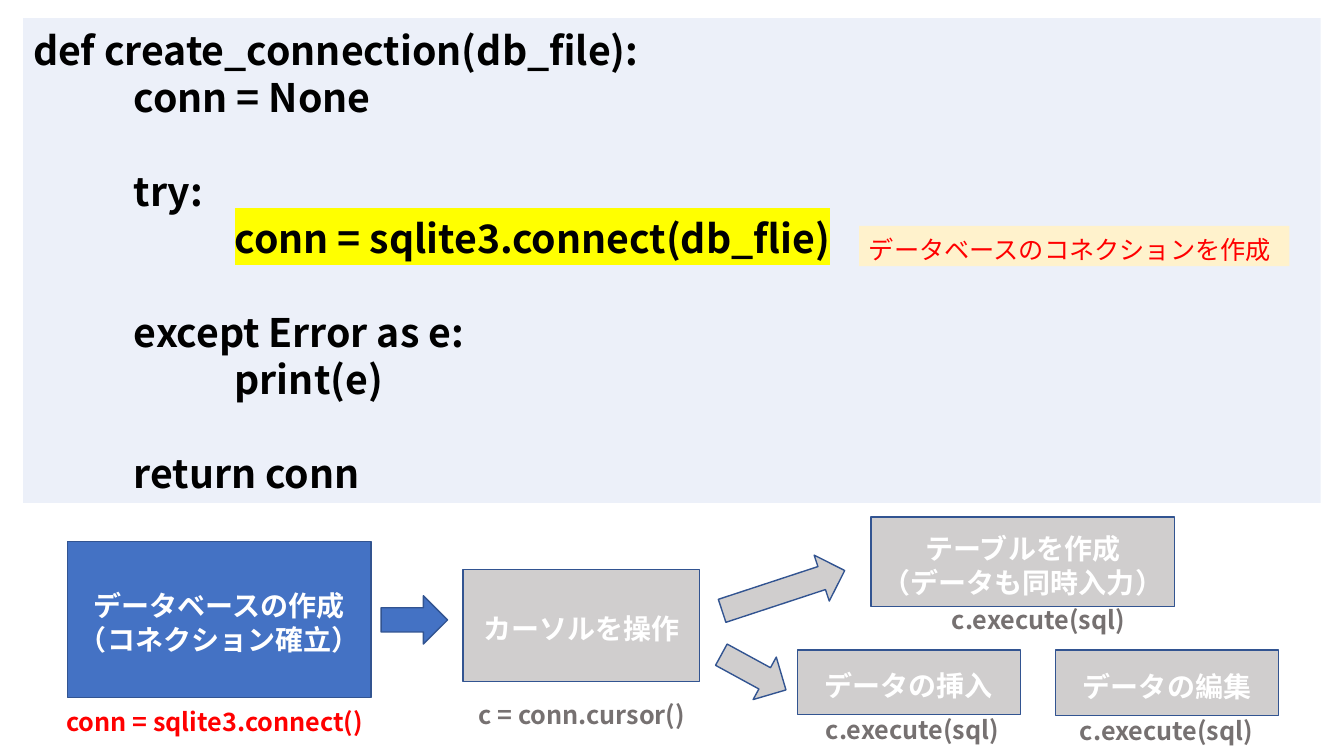
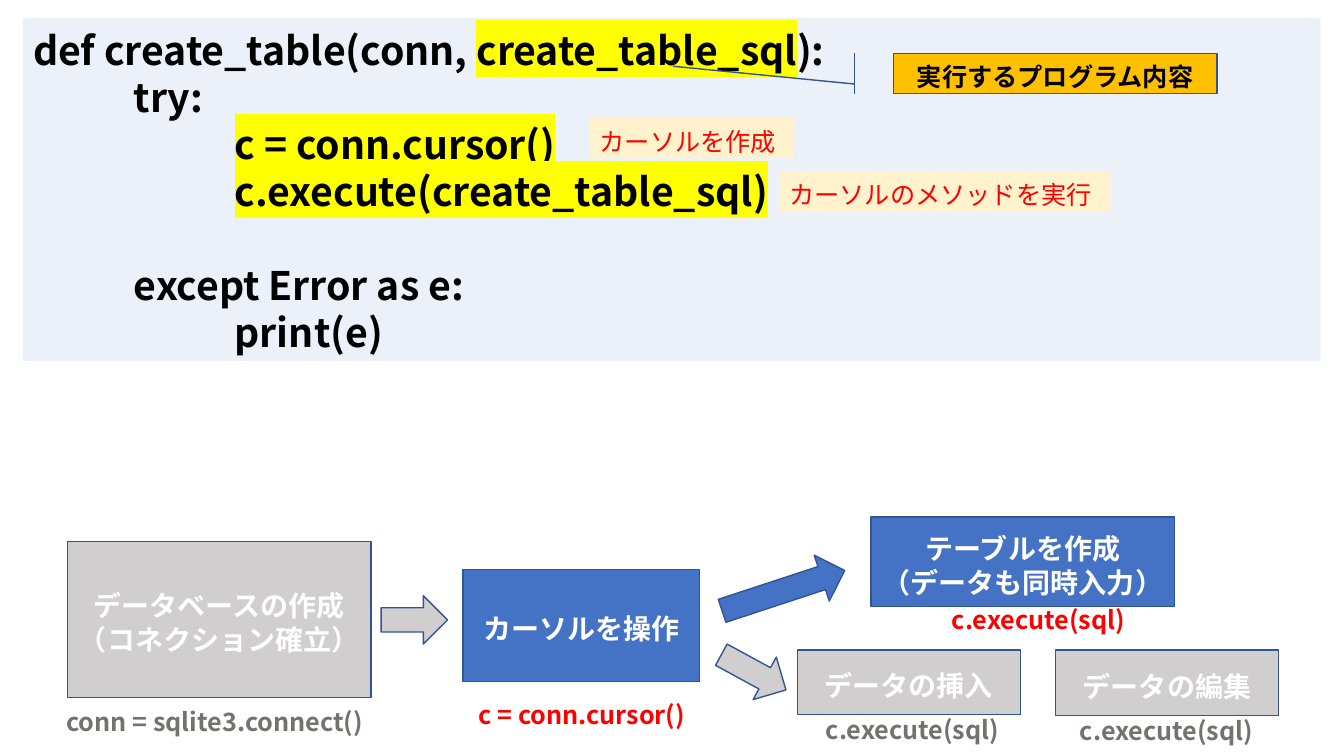
"""Two slides that explain sqlite3 code above a shared process flow."""
from lxml import etree
from pptx import Presentation
from pptx.dml.color import RGBColor
from pptx.enum import shapes, text
from pptx.oxml import ns
from pptx.util import Inches, Pt

FONT = "Noto Sans CJK JP"
LINE_RATIO = 1.2
BLUE, GRAY, OUTLINE = "4472C4", "D0CECE", "325491"
PANEL, NOTE, ORANGE, YELLOW = "8FAADC", "FFF2CC", "FFC000", "FFFF00"
RED, DIM, BLACK, WHITE = "FF0000", "767171", "000000", "FFFFFF"

# key, label lines, box, code below, code box
STEPS = [
    ("connect", ["データベースの作成", "（コネクション確立）"], (0.67, 5.37, 3.01, 1.55),
     "conn = sqlite3.connect()", (0.48, 6.93, 3.3, 0.4)),
    ("cursor", ["カーソルを操作"], (4.59, 5.65, 2.35, 1.11),
     "c = conn.cursor()", (4.59, 6.86, 2.36, 0.4)),
    ("table", ["テーブルを作成", "（データも同時入力）"], (8.64, 5.13, 3.01, 0.89),
     "c.execute(sql)", (9.12, 5.92, 2.36, 0.4)),
    ("insert", ["データの挿入"], (7.91, 6.45, 2.21, 0.64),
     "c.execute(sql)", (7.87, 7.01, 2.36, 0.4)),
    ("edit", ["データの編集"], (10.47, 6.45, 2.21, 0.65),
     "c.execute(sql)", (10.39, 7.02, 2.36, 0.4)),
]

# key of the step the arrow is lit with, box, rotation
ARROWS = [
    ("connect", (3.78, 5.91, 0.66, 0.48), 0),
    ("table", (7.13, 5.62, 1.28, 0.48), 341.8),
    ("insert", (7.11, 6.43, 0.73, 0.48), 28.6),
]

# Four spaces indent one level; bars enclose highlighted code.
CONNECTION_CODE = """\
def create_connection(db_file):
    conn = None

    try:
        |conn = sqlite3.connect(db_flie)|

    except Error as e:
        print(e)

    return conn"""

TABLE_CODE = """\
def create_table(conn, |create_table_sql|):
    try:
        |c = conn.cursor()|
        |c.execute(create_table_sql)|

    except Error as e:
        print(e)"""


def color(value):
    """Turn a hex string into a colour."""
    return RGBColor.from_string(value)


def add_color_child(parent, tag, value):
    """Append an element that holds one RGB colour."""
    child = etree.SubElement(parent, ns.qn(tag))
    etree.SubElement(child, ns.qn("a:srgbClr"), val=value)


def style_paragraph(paragraph, size, font_color, bold, align):
    """Set the font, line height and alignment of a paragraph."""
    paragraph.alignment = align
    paragraph.line_spacing = Pt(size * LINE_RATIO)
    font = paragraph.font
    font.name, font.size, font.bold = FONT, Pt(size), bold
    font.color.rgb = color(font_color)
    etree.SubElement(font._rPr, ns.qn("a:ea"), typeface=FONT)


def prepare_frame(shape, anchor):
    """Set wrapping, insets and anchor, and return the text frame."""
    frame = shape.text_frame
    frame.word_wrap = True
    frame.vertical_anchor = anchor
    frame.margin_left = frame.margin_right = Inches(0.1)
    frame.margin_top, frame.margin_bottom = Inches(0.08), Inches(0.02)
    return frame


def write_lines(shape, lines, size, font_color, bold=True,
                align=text.PP_ALIGN.CENTER, anchor=text.MSO_ANCHOR.MIDDLE):
    """Write one uniformly styled paragraph per line."""
    frame = prepare_frame(shape, anchor)
    for index, line in enumerate(lines):
        paragraph = frame.add_paragraph() if index else frame.paragraphs[0]
        paragraph.add_run().text = line
        style_paragraph(paragraph, size, font_color, bold, align)


def add_shape(slide, kind, box, fill, outlined=True):
    """Add a flat preset shape."""
    shape = slide.shapes.add_shape(kind, *map(Inches, box))
    shape.shadow.inherit = False
    shape.fill.solid()
    shape.fill.fore_color.rgb = color(fill)
    if outlined:
        shape.line.color.rgb = color(OUTLINE)
        shape.line.width = Pt(1)
    else:
        shape.line.fill.background()
    return shape


def add_code(slide, code, height):
    """Add the translucent panel with indented, partly highlighted code."""
    panel = add_shape(slide, shapes.MSO_SHAPE.RECTANGLE,
                      (0.23, 0.18, 12.87, height), PANEL, outlined=False)
    panel_color = panel._element.spPr.find(
        f"{ns.qn('a:solidFill')}/{ns.qn('a:srgbClr')}")
    etree.SubElement(panel_color, ns.qn("a:alpha"), val="17000")

    frame = prepare_frame(panel, text.MSO_ANCHOR.TOP)
    paragraph = frame.paragraphs[0]
    size, gap = 28, 0
    for index, line in enumerate(code.splitlines()):
        if not line:
            gap = size * LINE_RATIO
            continue
        if index:
            paragraph = frame.add_paragraph()
        content = line.lstrip()
        level = (len(line) - len(content)) // 4
        for position, part in enumerate(content.split("|")):
            if part:
                run = paragraph.add_run()
                run.text = part
                if position % 2:
                    add_color_child(run.font._rPr, "a:highlight", YELLOW)
        style_paragraph(paragraph, size, BLACK, True, text.PP_ALIGN.LEFT)
        paragraph.space_before = Pt(gap)
        properties = paragraph._p.get_or_add_pPr()
        properties.set("marL", str(Inches(level)))
        properties.set("indent", "0")
        gap = 0


def add_note(slide, left, top, width, label):
    """Add a red remark on a pale strip."""
    note = add_shape(slide, shapes.MSO_SHAPE.RECTANGLE,
                     (left, top, width, 0.4), NOTE, outlined=False)
    write_lines(note, [label], 18, RED, bold=False,
                align=text.PP_ALIGN.LEFT, anchor=text.MSO_ANCHOR.TOP)


def add_callout(slide, label):
    """Add the orange callout that points at the SQL argument."""
    callout = add_shape(slide, shapes.MSO_SHAPE.LINE_CALLOUT_1_BORDER_AND_ACCENT_BAR,
                        (8.86, 0.53, 3.21, 0.4), ORANGE)
    for index, value in enumerate((0.76, -0.12, 0.32, -0.68)):
        callout.adjustments[index] = value
    write_lines(callout, [label], 18, BLACK)


def add_flow(slide, active):
    """Add the process flow with the active steps lit."""
    for key, label, box, code, code_box in STEPS:
        lit = key in active
        step = add_shape(slide, shapes.MSO_SHAPE.RECTANGLE, box, BLUE if lit else GRAY)
        write_lines(step, label, 20, WHITE)
        caption = slide.shapes.add_textbox(*map(Inches, code_box))
        write_lines(caption, [code], 18, RED if lit else DIM,
                    anchor=text.MSO_ANCHOR.TOP)
    for key, box, rotation in ARROWS:
        arrow = add_shape(slide, shapes.MSO_SHAPE.RIGHT_ARROW, box,
                          BLUE if key in active else GRAY)
        arrow.rotation = rotation


def main():
    """Build and save the presentation."""
    presentation = Presentation()
    presentation.slide_width, presentation.slide_height = Inches(13.33), Inches(7.5)
    blank = presentation.slide_layouts[6]

    slide = presentation.slides.add_slide(blank)
    add_code(slide, CONNECTION_CODE, 4.81)
    add_note(slide, 8.52, 2.24, 4.27, "データベースのコネクションを作成")
    add_flow(slide, {"connect"})

    slide = presentation.slides.add_slide(blank)
    add_code(slide, TABLE_CODE, 3.4)
    add_note(slide, 5.85, 1.17, 2.02, "カーソルを作成")
    add_note(slide, 7.73, 1.7, 3.27, "カーソルのメソッドを実行")
    add_flow(slide, {"cursor", "table"})
    add_callout(slide, "実行するプログラム内容")

    presentation.save("out.pptx")


main()
